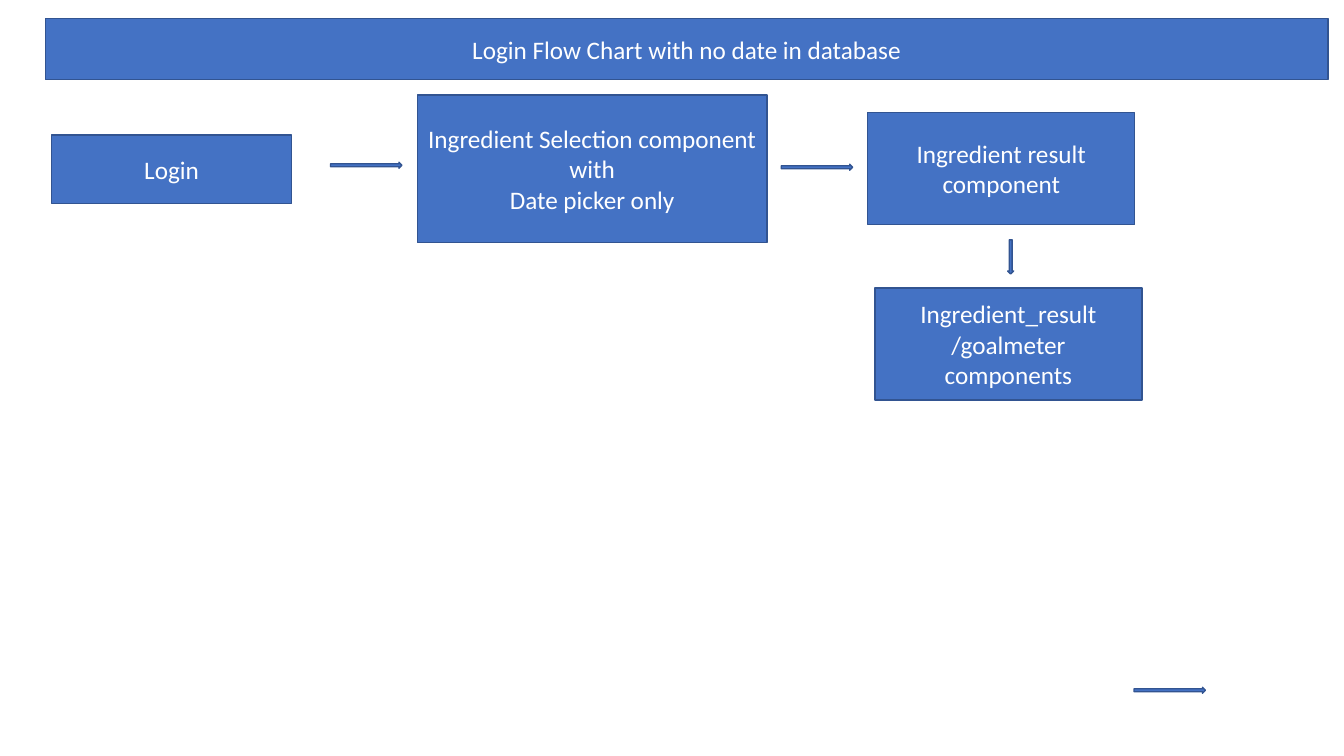
import pptx
import pptx.util
import pptx.dml.color
import pptx.enum.shapes
import pptx.enum.text

Cm = pptx.util.Cm
Pt = pptx.util.Pt
SHAPE = pptx.enum.shapes.MSO_SHAPE
BLUE = pptx.dml.color.RGBColor(0x44, 0x72, 0xC4)
DARK_BLUE = pptx.dml.color.RGBColor(0x32, 0x54, 0x91)
WHITE = pptx.dml.color.RGBColor(0xFF, 0xFF, 0xFF)


def paint(sp):
    sp.fill.solid()
    sp.fill.fore_color.rgb = BLUE
    sp.line.color.rgb = DARK_BLUE
    sp.line.width = Pt(1)


def write(sp, text):
    tf = sp.text_frame
    tf.text = text
    tf.word_wrap = True
    tf.auto_size = pptx.enum.text.MSO_AUTO_SIZE.NONE
    tf.vertical_anchor = pptx.enum.text.MSO_ANCHOR.MIDDLE
    for p in tf.paragraphs:
        p.alignment = pptx.enum.text.PP_ALIGN.CENTER
        for r in p.runs:
            r.font.name = "Calibri"
            r.font.size = Pt(18)
            r.font.color.rgb = WHITE


def add_block(s, kind, left, top, width, height):
    sp = s.shapes.add_shape(kind, Cm(left), Cm(top), Cm(width), Cm(height))
    sp.shadow.inherit = False
    paint(sp)
    return sp


def add_header(s, left, top, width, height):
    sp = s.shapes.title
    sp.left, sp.top, sp.width, sp.height = Cm(left), Cm(top), Cm(width), Cm(height)
    paint(sp)
    write(sp, "Login Flow Chart with no date in database")


def add_flow(s, left, top):
    steps = [
        ("Login", 0, 1.01, 6.05, 1.73),
        ("Ingredient Selection component with\nDate picker only", 9.22, 0, 8.81, 3.73),
        ("Ingredient result component", 20.57, 0.45, 6.73, 2.82),
        ("Ingredient_result\n/goalmeter components", 20.75, 4.87, 6.73, 2.82),
    ]
    for text, x, y, width, height in steps:
        write(add_block(s, SHAPE.RECTANGLE, left + x, top + y, width, height), text)

    arrows = [
        (7.03, 1.7, 1.8, 0),
        (18.39, 1.75, 1.8, 0),
        (23.74, 4.01, 0.86, 90),
        (27.28, 14.93, 1.8, 0),
    ]
    for x, y, length, angle in arrows:
        arrow = add_block(s, SHAPE.RIGHT_ARROW, left + x, top + y, length, 0.15)
        arrow.rotation = angle


prs = pptx.Presentation()
prs.slide_width, prs.slide_height = Cm(33.87), Cm(19.05)
s = prs.slides.add_slide(prs.slide_layouts[5])
add_header(s, 1.14, 0.46, 32.33, 1.55)
add_flow(s, 1.3, 2.39)
prs.save("out.pptx")
